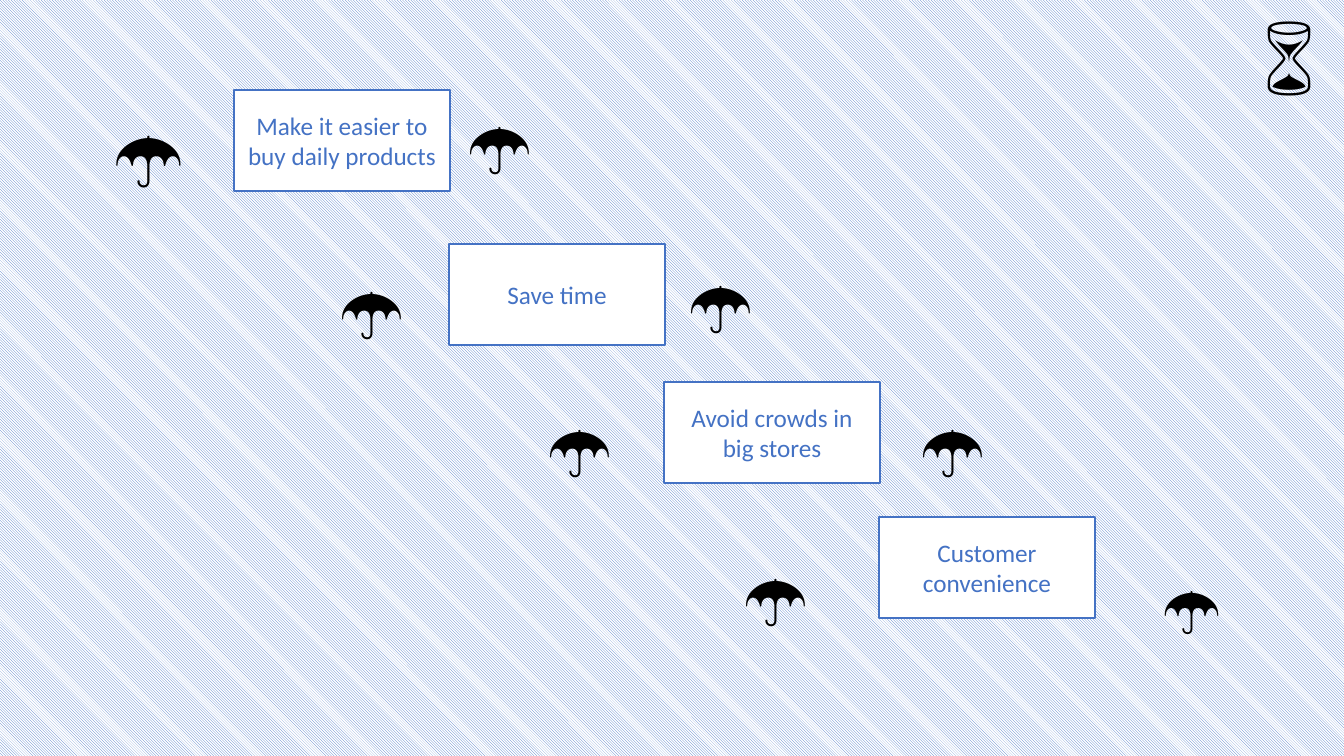
"""Build a slide of shopping benefits stepping down between umbrellas."""
from pptx import Presentation
from pptx.dml.color import RGBColor
from pptx.enum.dml import MSO_PATTERN
from pptx.enum.shapes import MSO_SHAPE
from pptx.enum.text import MSO_ANCHOR, MSO_AUTO_SIZE, PP_ALIGN
from pptx.util import Pt

SLIDE_WIDTH, SLIDE_HEIGHT = 1344, 756
SCALE = 12192000 / SLIDE_WIDTH
BLUE, WHITE, BLACK = "4472C4", "FFFFFF", "000000"

BENEFITS = [
    ("Make it easier to buy daily products", 90),
    ("Save time", 244),
    ("Avoid crowds in big stores", 382),
    ("Customer convenience", 517),
]
BOX_LEFT, BOX_STEP, BOX_WIDTH, BOX_HEIGHT = 234, 215, 216, 101

SYMBOLS = [
    ("☂", 104, 101, 56, 92, 48),
    ("☂", 458, 95, 49, 85, 44),
    ("☂", 330, 260, 73, 159, 44),
    ("☂", 679, 254, 54, 85, 44),
    ("☂", 538, 398, 52, 85, 44),
    ("☂", 911, 398, 52, 85, 44),
    ("☂", 734, 547, 61, 85, 44),
    ("☂", 1153, 562, 52, 78, 40),
    ("⌛", 1255, 0, 49, 102, 54),
]


def px(*lengths):
    return [round(length * SCALE) for length in lengths]


def color(value):
    return RGBColor.from_string(value)


def write(shape, text, *, size, font, fill, align, anchor, auto_size):
    frame = shape.text_frame
    frame.word_wrap = True
    frame.auto_size = auto_size
    frame.vertical_anchor = anchor
    paragraph = frame.paragraphs[0]
    paragraph.alignment = align
    run = paragraph.add_run()
    run.text = text
    run.font.size = Pt(size)
    run.font.name = font
    run.font.color.rgb = color(fill)


def add_benefit(slide, index, text, top):
    left = BOX_LEFT + index * BOX_STEP
    box = slide.shapes.add_shape(
        MSO_SHAPE.RECTANGLE, *px(left, top, BOX_WIDTH, BOX_HEIGHT))
    box.shadow.inherit = False
    box.fill.solid()
    box.fill.fore_color.rgb = color(WHITE)
    box.line.color.rgb = color(BLUE)
    box.line.width = Pt(1)
    write(box, text, size=18, font="Calibri", fill=BLUE, align=PP_ALIGN.CENTER,
          anchor=MSO_ANCHOR.MIDDLE, auto_size=MSO_AUTO_SIZE.NONE)


def add_symbol(slide, text, left, top, width, height, size):
    box = slide.shapes.add_textbox(*px(left, top, width, height))
    write(box, text, size=size, font="Cabin", fill=BLACK, align=PP_ALIGN.LEFT,
          anchor=MSO_ANCHOR.TOP, auto_size=MSO_AUTO_SIZE.SHAPE_TO_FIT_TEXT)


def main():
    presentation = Presentation()
    presentation.slide_width, presentation.slide_height = px(SLIDE_WIDTH, SLIDE_HEIGHT)
    slide = presentation.slides.add_slide(presentation.slide_layouts[6])

    background = slide.background.fill
    background.patterned()
    background.pattern = MSO_PATTERN.DARK_DOWNWARD_DIAGONAL
    background.fore_color.rgb = color(BLUE)
    background.back_color.rgb = color(WHITE)

    for index, (text, top) in enumerate(BENEFITS):
        add_benefit(slide, index, text, top)
    for symbol in SYMBOLS:
        add_symbol(slide, *symbol)

    presentation.save("out.pptx")


if __name__ == "__main__":
    main()
